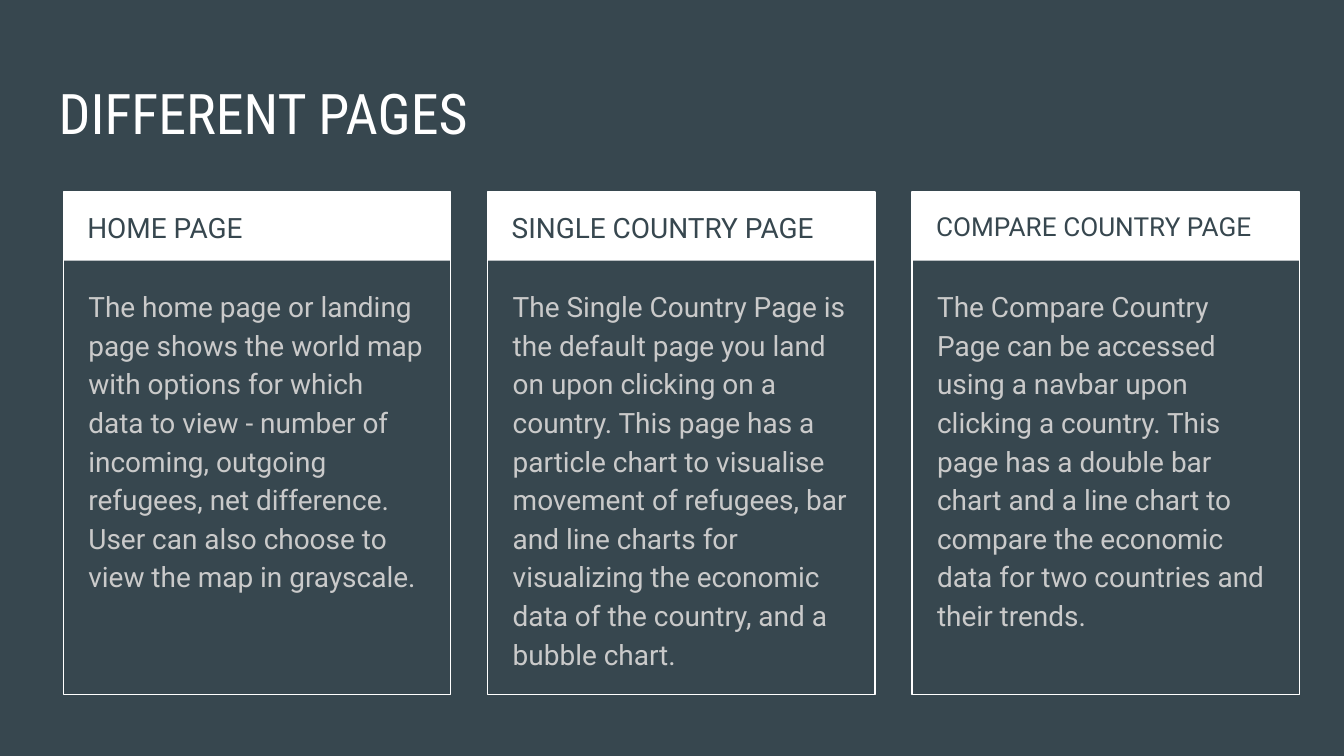
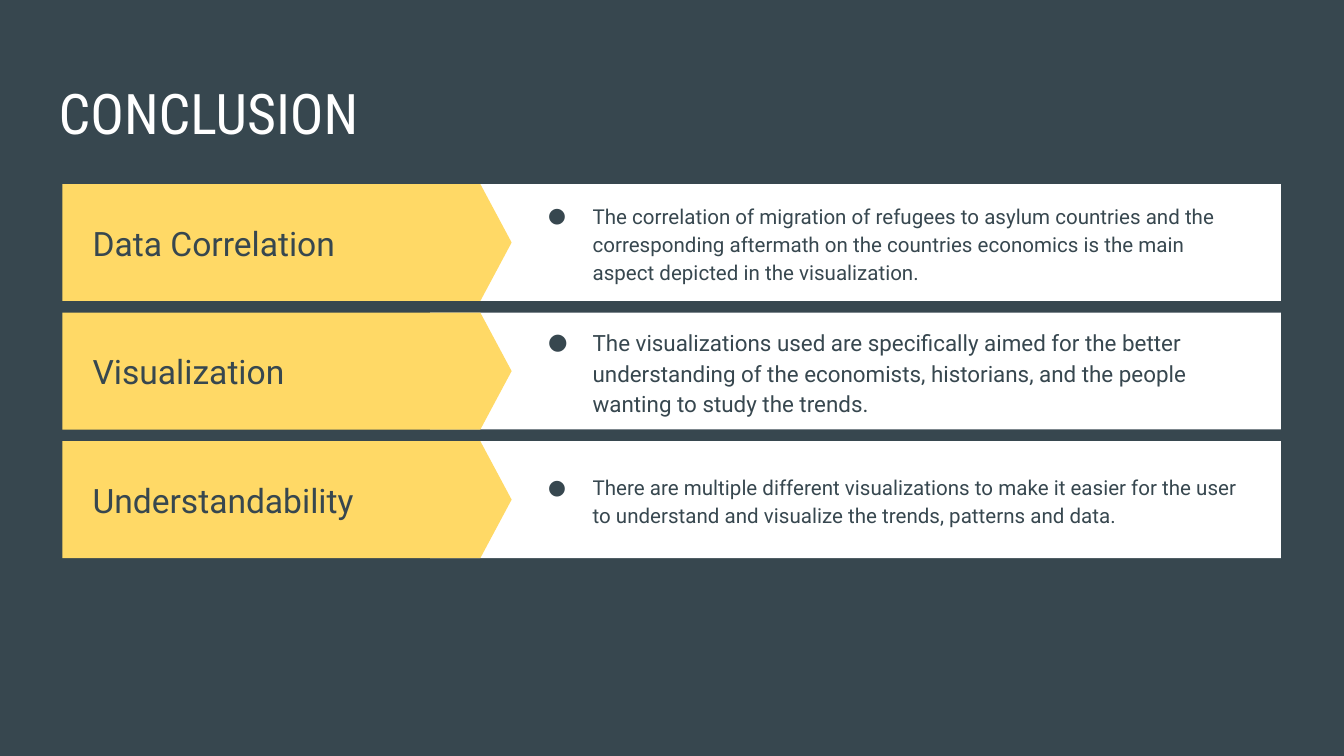
from copy import deepcopy
from dataclasses import dataclass

from lxml.etree import SubElement
from pptx import Presentation
from pptx.dml.color import RGBColor as Color
from pptx.enum.shapes import MSO_SHAPE as Preset
from pptx.enum.text import MSO_ANCHOR as Anchor, MSO_AUTO_SIZE as AutoSize, PP_ALIGN as Align
from pptx.oxml.ns import qn
from pptx.util import Cm, Pt


@dataclass(frozen=True)
class Theme:
    slate: Color = Color.from_string("37474F")
    white: Color = Color.from_string("FFFFFF")
    grey: Color = Color.from_string("CACACA")
    yellow: Color = Color.from_string("FFD966")
    title_font: str = "Roboto Condensed"
    body_font: str = "Roboto"
    title_size: int = 30
    label_size: int = 18
    card_size: int = 15
    card_small_size: int = 14
    note_size: int = 11
    note_large_size: int = 12
    inset: float = 0.25
    leading: float = 1.15


THEME = Theme()
BODY_COUNT = 6

CARDS = [
    ("HOME PAGE", THEME.card_size,
     "The home page or landing page shows the world map with options for which data to view - "
     "number of incoming, outgoing refugees, net difference. User can also choose to view the "
     "map in grayscale."),
    ("SINGLE COUNTRY PAGE", THEME.card_size,
     "The Single Country Page is the default page you land on upon clicking on a country. This "
     "page has a particle chart to visualise movement of refugees, bar and line charts for "
     "visualizing the economic data of the country, and a bubble chart."),
    ("COMPARE COUNTRY PAGE", THEME.card_small_size,
     "The Compare Country Page can be accessed using a navbar upon clicking a country. This page "
     "has a double bar chart and a line chart to compare the economic data for two countries and "
     "their trends."),
]

CONCLUSIONS = [
    ("Data Correlation", THEME.note_size,
     "The correlation of migration of refugees to asylum countries and the corresponding "
     "aftermath on the countries economics is the main aspect depicted in the visualization."),
    ("Visualization", THEME.note_large_size,
     "The visualizations used are specifically aimed for the better understanding of the "
     "economists, historians, and the people wanting to study the trends."),
    ("Understandability", THEME.note_size,
     "There are multiple different visualizations to make it easier for the user to understand "
     "and visualize the trends, patterns and data."),
]


def prepare_layout(presentation):
    """Set the shared background and give one layout enough body placeholders."""
    background = presentation.slide_master.background.fill
    background.solid()
    background.fore_color.rgb = THEME.slate
    layout = presentation.slide_layouts[1]
    body = layout.placeholders[1].element
    for number in range(1, BODY_COUNT):
        extra = deepcopy(body)
        properties = next(extra.iter(qn("p:cNvPr")))
        properties.set("id", str(100 + number))
        properties.set("name", f"Body {number + 1}")
        next(extra.iter(qn("p:ph"))).set("idx", str(20 + number))
        body.getparent().append(extra)
    return layout


def set_bullet(paragraph, color):
    """Give the paragraph a round bullet, or none when there is no colour."""
    properties = paragraph._p.get_or_add_pPr()
    properties.set("marL", str(Cm(1.27) if color else 0))
    properties.set("indent", str(Cm(-0.84) if color else 0))
    if color is None:
        SubElement(properties, qn("a:buNone"))
        return
    bullet_color = SubElement(properties, qn("a:buClr"))
    SubElement(bullet_color, qn("a:srgbClr")).set("val", str(color))
    SubElement(properties, qn("a:buFont")).set("typeface", THEME.body_font)
    SubElement(properties, qn("a:buChar")).set("char", "●")


def fill_placeholder(placeholder, box, text, size, color, font=THEME.body_font,
                     anchor=Anchor.TOP, leading=1.0, space_after=0, bullet=None):
    placeholder.left, placeholder.top, placeholder.width, placeholder.height = map(Cm, box)
    # Placeholders come first on a new slide, so lift the text above the panels
    placeholder.element.getparent().append(placeholder.element)
    frame = placeholder.text_frame
    frame.word_wrap = True
    frame.auto_size = AutoSize.NONE
    frame.vertical_anchor = anchor
    frame.margin_left = frame.margin_right = Cm(THEME.inset)
    frame.margin_top = frame.margin_bottom = Cm(THEME.inset)
    paragraph = frame.paragraphs[0]
    set_bullet(paragraph, bullet)
    paragraph.alignment = Align.LEFT
    paragraph.line_spacing = leading
    paragraph.space_before = Pt(0)
    paragraph.space_after = Pt(space_after)
    run = paragraph.add_run()
    run.text = text
    run.font.name = font
    run.font.size = Pt(size)
    run.font.color.rgb = color


def add_panel(group, box, fill=None, line=None, preset=Preset.RECTANGLE):
    panel = group.shapes.add_shape(preset, *map(Cm, box))
    panel.shadow.inherit = False
    if fill is None:
        panel.fill.background()
    else:
        panel.fill.solid()
        panel.fill.fore_color.rgb = fill
    if line is None:
        panel.line.fill.background()
    else:
        panel.line.color.rgb = line
        panel.line.width = Pt(0.75)
    return panel


def add_titled_slide(presentation, layout, title):
    """Return the new slide and its body placeholders in pairs."""
    slide = presentation.slides.add_slide(layout)
    fill_placeholder(slide.shapes.title, (0.86, 1.24, 23.67, 1.6), title,
                     THEME.title_size, THEME.white, THEME.title_font)
    bodies = list(slide.placeholders)[1:]
    return slide, list(zip(bodies[::2], bodies[1::2]))


def add_card(slide, bodies, left, heading, heading_size, text):
    top, width = 3.63, 7.32
    group = slide.shapes.add_group_shape()
    add_panel(group, (left, top, width, 1.3), fill=THEME.white)
    add_panel(group, (left, top, width, 9.5), line=THEME.white)
    heading_body, text_body = bodies
    fill_placeholder(heading_body, (left + 0.2, top, 6.93, 1.27), heading, heading_size,
                     THEME.slate, leading=THEME.leading)
    fill_placeholder(text_body, (left + 0.22, top + 1.5, 6.88, 7.77), text, THEME.card_size,
                     THEME.grey, leading=THEME.leading, space_after=16)


def add_conclusion(slide, bodies, top, label, note_size, note):
    height = 2.21
    group = slide.shapes.add_group_shape()
    add_panel(group, (8.13, top, 16.08, height), fill=THEME.white)
    arrow = add_panel(group, (1.18, top, 8.49, height), fill=THEME.yellow, preset=Preset.PENTAGON)
    arrow.adjustments[0] = 0.267
    label_body, note_body = bodies
    fill_placeholder(label_body, (1.5, top, 6.73, height), label, THEME.label_size,
                     THEME.slate, anchor=Anchor.MIDDLE)
    fill_placeholder(note_body, (9.68, top, 14.2, height), note, note_size, THEME.slate,
                     anchor=Anchor.MIDDLE, leading=THEME.leading, bullet=THEME.slate)


def main():
    presentation = Presentation()
    presentation.slide_width, presentation.slide_height = Cm(25.4), Cm(14.29)
    layout = prepare_layout(presentation)

    # Three cards side by side
    slide, body_pairs = add_titled_slide(presentation, layout, "DIFFERENT PAGES")
    for column, (bodies, card) in enumerate(zip(body_pairs, CARDS)):
        add_card(slide, bodies, 1.2 + 8.02 * column, *card)

    # Three labelled rows
    slide, body_pairs = add_titled_slide(presentation, layout, "CONCLUSION")
    for row, (bodies, conclusion) in enumerate(zip(body_pairs, CONCLUSIONS)):
        add_conclusion(slide, bodies, 3.48 + 2.43 * row, *conclusion)

    presentation.save("out.pptx")


if __name__ == "__main__":
    main()
